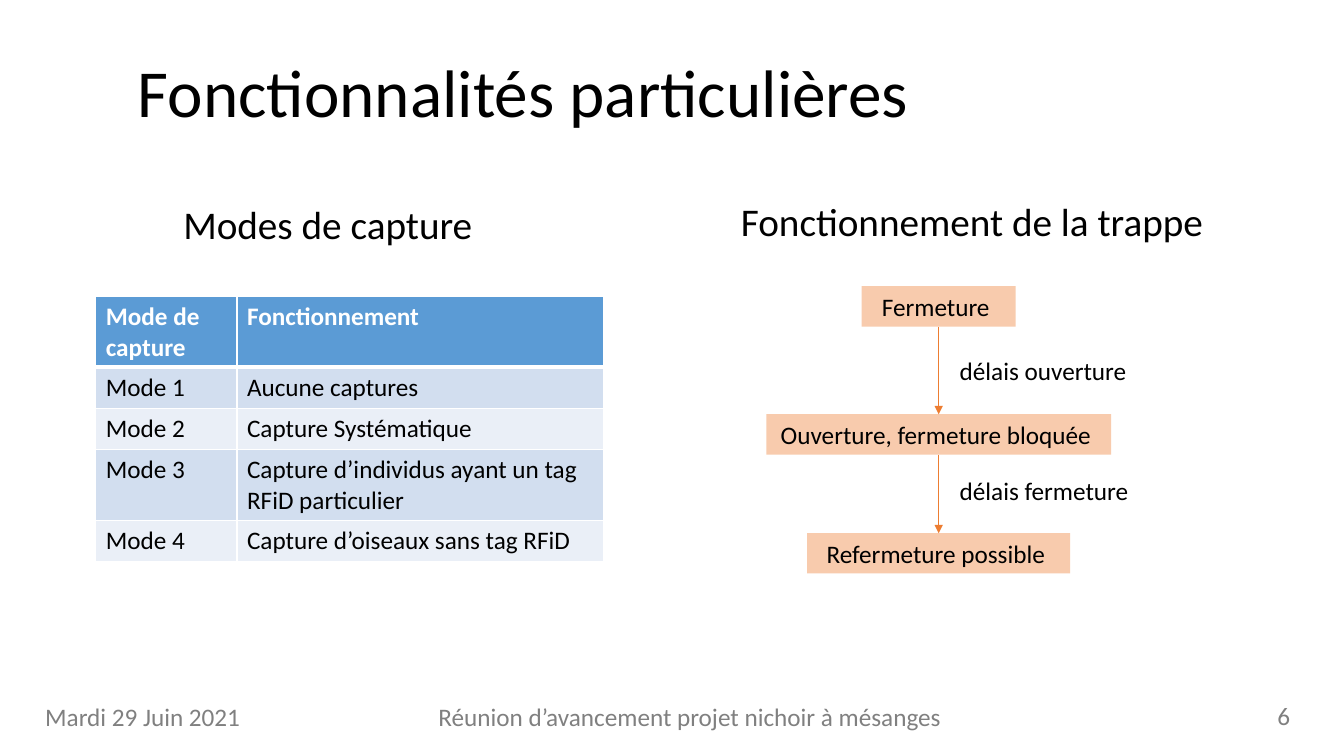
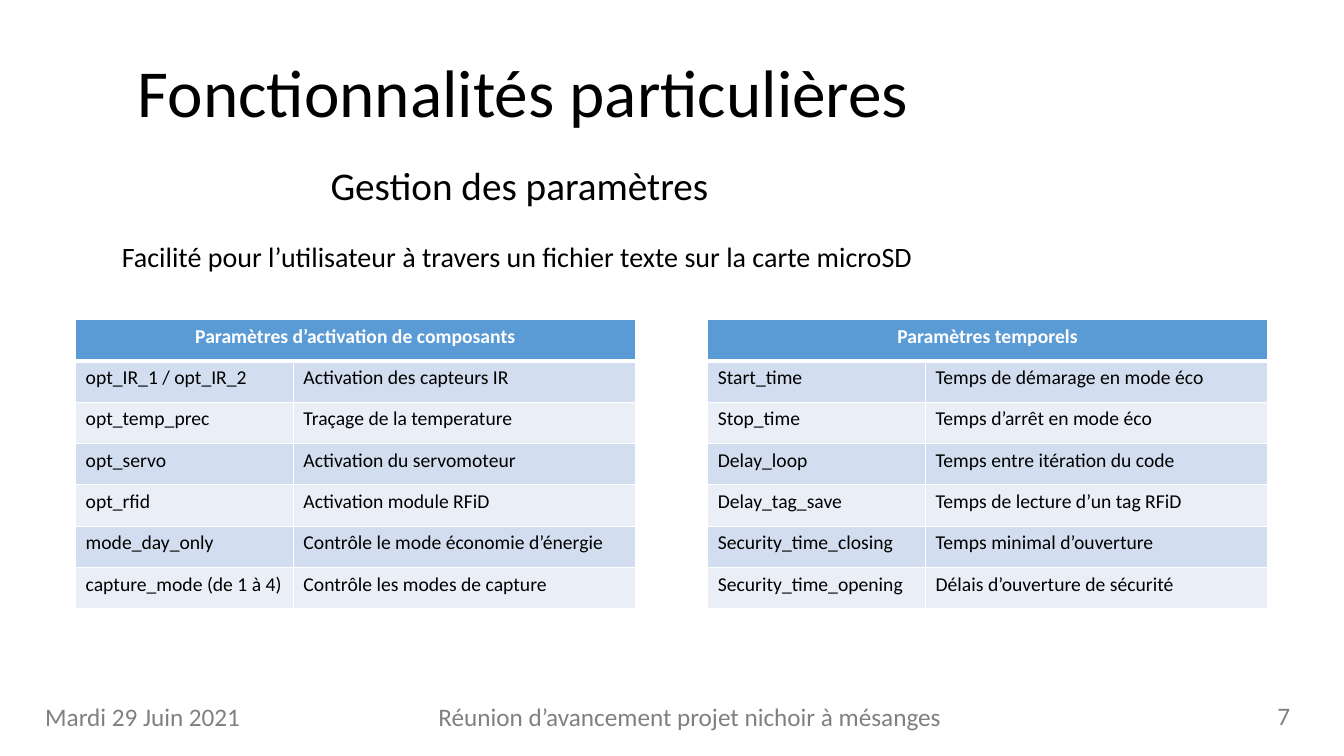
import lxml.etree
import pptx
import pptx.util
import pptx.dml.color
import pptx.enum.shapes
import pptx.enum.text
import pptx.oxml.ns

Inches = pptx.util.Inches
Pt = pptx.util.Pt
RGBColor = pptx.dml.color.RGBColor
Align = pptx.enum.text.PP_ALIGN
Fit = pptx.enum.text.MSO_AUTO_SIZE

BLACK = RGBColor(0x00, 0x00, 0x00)
WHITE = RGBColor(0xFF, 0xFF, 0xFF)
GREY = RGBColor(0x80, 0x80, 0x80)
BLUE = RGBColor(0x5B, 0x9B, 0xD5)
BANDS = [RGBColor(0xD2, 0xDE, 0xEF), RGBColor(0xEA, 0xEF, 0xF7)]
PEACH = RGBColor(0xF8, 0xCB, 0xAD)
ORANGE = RGBColor(0xED, 0x7D, 0x31)

FONT = "Calibri"
TITLE = "Fonctionnalités particulières"
DATE = "Mardi 29 Juin 2021"
FOOTER = "Réunion d’avancement projet nichoir à mésanges"
ROW = 0.41
LINE = 0.4


class Deck:
    """Holds the shared style and the slide being filled."""

    def __init__(self):
        self.prs = pptx.Presentation()
        self.prs.slide_width = Inches(13.33)
        self.prs.slide_height = Inches(7.5)
        self.slide = None

    def style(self, frame, size, color=BLACK, bold=False, align=Align.LEFT):
        for para in frame.paragraphs:
            para.alignment = align
            for run in para.runs:
                run.font.name = FONT
                run.font.size = Pt(size)
                run.font.bold = bold
                run.font.color.rgb = color

    def start(self, number):
        """Adds a slide with its title, date, footer and number."""
        self.slide = self.prs.slides.add_slide(self.prs.slide_layouts[5])
        title = self.slide.shapes.title
        title.left, title.top = Inches(0.19), Inches(0.18)
        title.width, title.height = Inches(10), Inches(1.18)
        frame = title.text_frame
        frame.text = TITLE
        frame.auto_size = Fit.NONE
        frame.vertical_anchor = pptx.enum.text.MSO_ANCHOR.BOTTOM
        frame.paragraphs[0].line_spacing = 0.9
        self.style(frame, 48, align=Align.CENTER)
        self.text(FOOTER, 4.25, 6.91, 5.49, color=GREY)
        self.text(DATE, 0.35, 6.91, 2.94, color=GREY)
        self.text(str(number), 12.57, 6.9, 0.42, color=GREY)

    def text(self, words, left, top, width, height=LINE, size=18, color=BLACK):
        box = self.slide.shapes.add_textbox(
            Inches(left), Inches(top), Inches(width), Inches(height))
        frame = box.text_frame
        frame.word_wrap = True
        frame.auto_size = Fit.SHAPE_TO_FIT_TEXT
        frame.text = words
        self.style(frame, size, color)

    def heading(self, words, left, top, width):
        self.text(words, left, top, width, 0.57, 28)

    def step(self, words, center, top, width):
        box = self.slide.shapes.add_shape(
            pptx.enum.shapes.MSO_SHAPE.RECTANGLE, Inches(center - width / 2),
            Inches(top), Inches(width), Inches(LINE))
        box.shadow.inherit = False
        box.fill.solid()
        box.fill.fore_color.rgb = PEACH
        box.line.fill.background()
        box.text_frame.text = words
        box.text_frame.word_wrap = False
        self.style(box.text_frame, 18, align=Align.CENTER)

    def arrow(self, x, top, bottom):
        line = self.slide.shapes.add_connector(
            pptx.enum.shapes.MSO_CONNECTOR.STRAIGHT,
            Inches(x), Inches(top), Inches(x), Inches(bottom))
        line.line.color.rgb = ORANGE
        line.line.width = Pt(0.5)
        props = line._element.spPr
        self.node(props.find(pptx.oxml.ns.qn("a:ln")), "tailEnd", type="triangle")
        self.node(props, "effectLst")

    def node(self, parent, tag, **attrs):
        return lxml.etree.SubElement(parent, pptx.oxml.ns.qn("a:" + tag), attrs)

    def edges(self, cell, row):
        """Draws white cell borders, thicker under the header row."""
        props = cell._tc.get_or_add_tcPr()
        for side in "LRTB":
            thick = (row, side) in [(0, "B"), (1, "T")]
            line = self.node(props, "ln" + side, w=str(Pt(3 if thick else 1)))
            self.node(self.node(line, "solidFill"), "srgbClr", val=str(WHITE))

    def table(self, rows, left, top, widths, size):
        """Builds a banded table; a header of one cell spans all columns."""
        shape = self.slide.shapes.add_table(
            len(rows), len(widths), Inches(left), Inches(top),
            Inches(sum(widths)), Inches(ROW * len(rows)))
        grid = shape.table
        for col, width in zip(grid.columns, widths):
            col.width = Inches(width)
        span = len(rows[0]) == 1
        if span:
            grid.cell(0, 0).merge(grid.cell(0, len(widths) - 1))
        for i, row in enumerate(rows):
            grid.rows[i].height = Inches(ROW)
            head = i == 0
            for j in range(len(widths)):
                cell = grid.cell(i, j)
                self.edges(cell, i)
                cell.fill.solid()
                cell.fill.fore_color.rgb = BLUE if head else BANDS[(i - 1) % 2]
                if j < len(row):
                    cell.text_frame.text = row[j]
                    self.style(cell.text_frame, size, WHITE if head else BLACK,
                               head, Align.CENTER if head and span else Align.LEFT)


MODES = [
    ("Mode de capture", "Fonctionnement"),
    ("Mode 1", "Aucune captures"),
    ("Mode 2", "Capture Systématique"),
    ("Mode 3", "Capture d’individus ayant un tag RFiD particulier"),
    ("Mode 4", "Capture d’oiseaux sans tag RFiD"),
]
STEPS = [
    ("Fermeture ", 2.84, 1.53),
    ("Ouverture, fermeture bloquée ", 4.11, 3.42),
    ("Refermeture possible ", 5.29, 2.61),
]
DELAYS = [("délais ouverture", 3.48), ("délais fermeture", 4.67)]
PARTS = [
    ("Paramètres d’activation de composants",),
    ("opt_IR_1 / opt_IR_2", "Activation des capteurs IR"),
    ("opt_temp_prec", "Traçage de la temperature"),
    ("opt_servo", "Activation du servomoteur"),
    ("opt_rfid", "Activation module RFiD"),
    ("mode_day_only", "Contrôle le mode économie d’énergie"),
    ("capture_mode (de 1 à 4)", "Contrôle les modes de capture"),
]
TIMES = [
    ("Paramètres temporels",),
    ("Start_time", "Temps de démarage en mode éco"),
    ("Stop_time", "Temps d’arrêt en mode éco"),
    ("Delay_loop", "Temps entre itération du code"),
    ("Delay_tag_save", "Temps de lecture d’un tag RFiD"),
    ("Security_time_closing", "Temps minimal d’ouverture"),
    ("Security_time_opening", "Délais d’ouverture de sécurité"),
]


def modes(deck):
    deck.start(6)
    deck.heading("Fonctionnement de la trappe", 7.25, 1.91, 4.97)
    deck.heading("Modes de capture", 1.72, 1.94, 4.04)
    deck.table(MODES, 0.95, 2.94, [1.4, 3.64], 18)
    axis = 9.31
    for words, top, width in STEPS:
        deck.step(words, axis, top, width)
    for above, below in zip(STEPS, STEPS[1:]):
        deck.arrow(axis, above[1] + LINE, below[1])
    for words, top in DELAYS:
        deck.text(words, 9.42, top, 2.39)


def params(deck):
    deck.start(7)
    deck.heading("Gestion des paramètres", 3.18, 1.55, 7.11)
    deck.text("Facilité pour l’utilisateur à travers un fichier texte "
              "sur la carte microSD", 1.11, 2.33, 9.85, 0.44, 20)
    for rows, left in [(PARTS, 0.75), (TIMES, 7.02)]:
        deck.table(rows, left, 3.17, [2.16, 3.39], 14)


def main():
    deck = Deck()
    modes(deck)
    params(deck)
    deck.prs.save("out.pptx")


if __name__ == "__main__":
    main()
